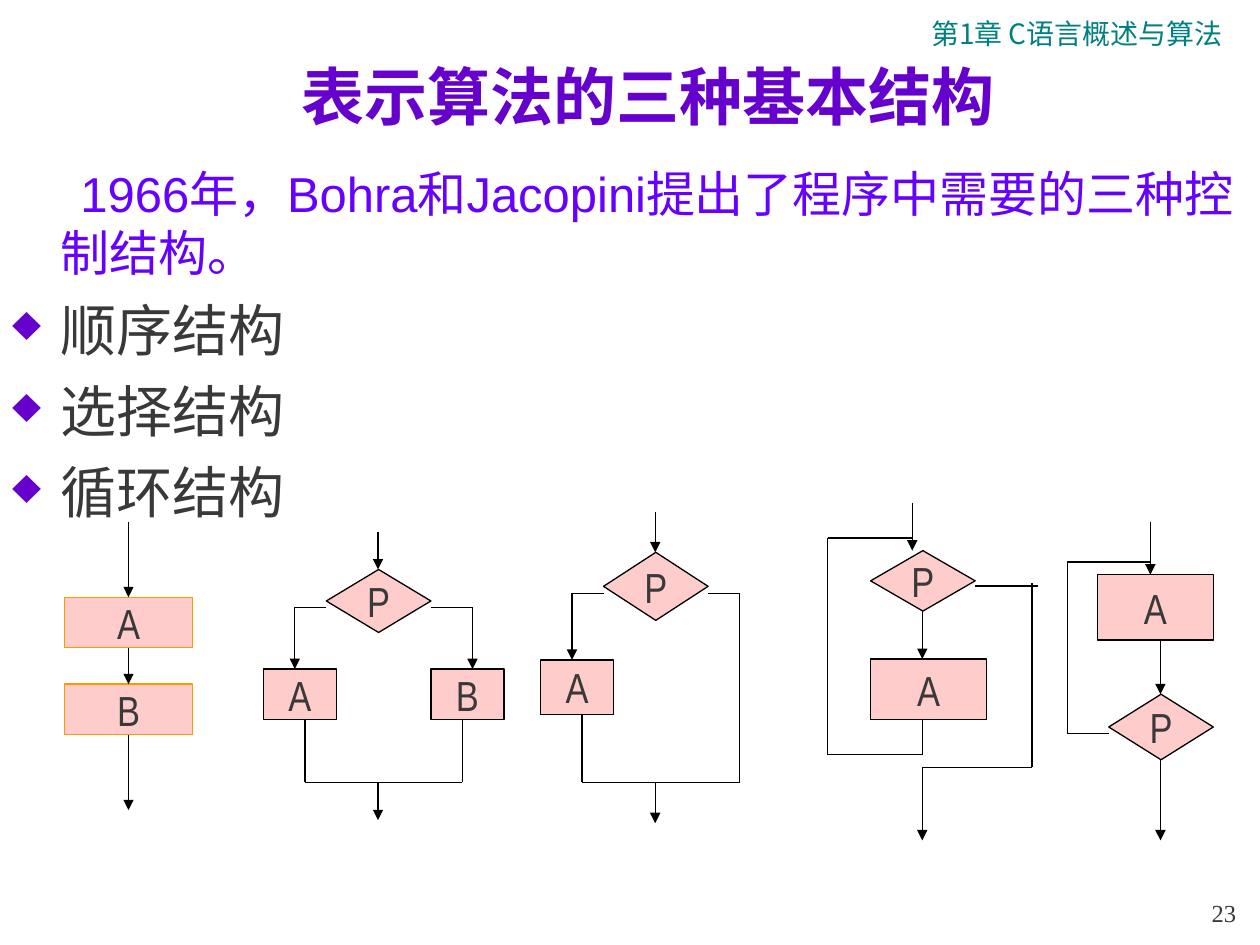
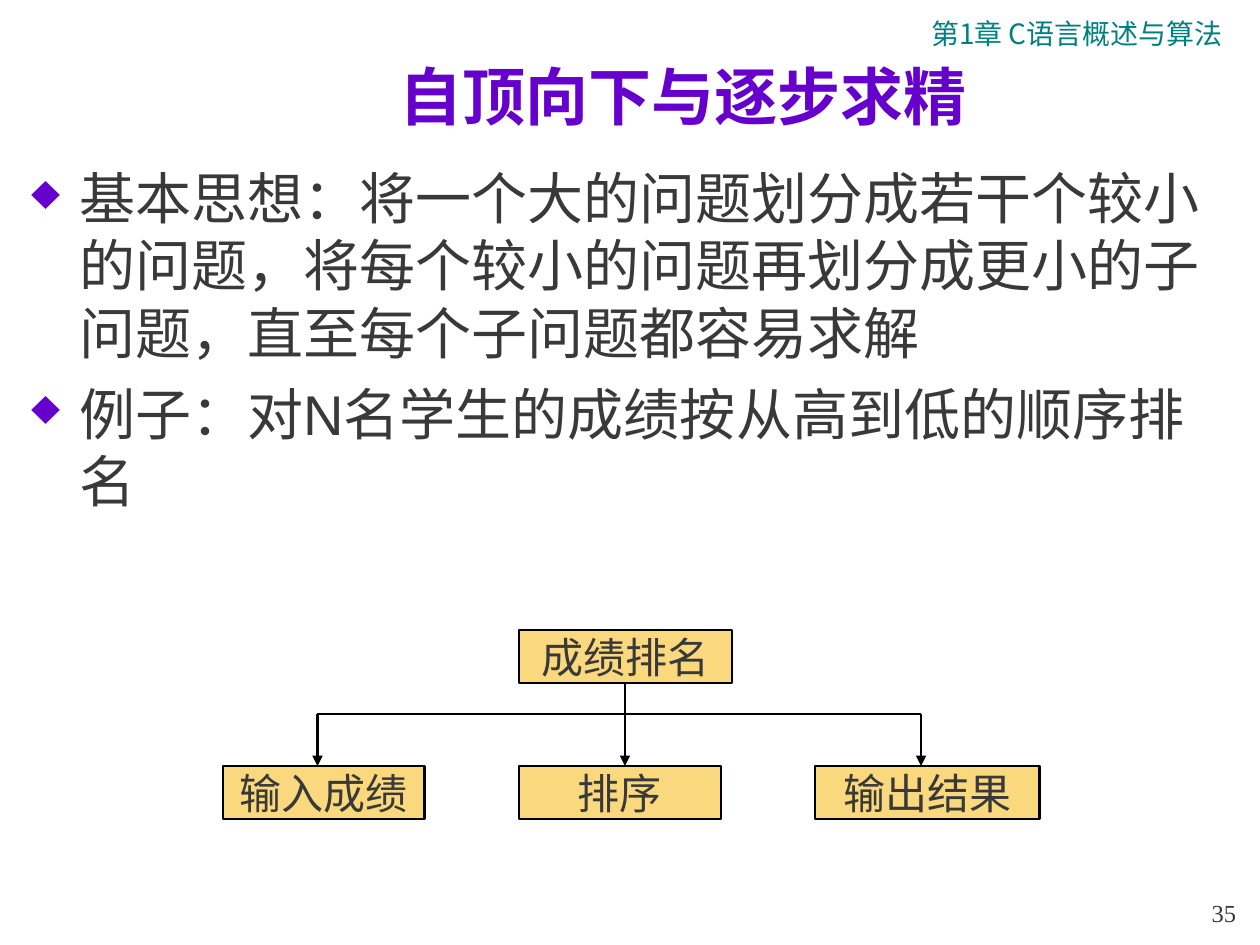
from dataclasses import dataclass

from lxml.etree import SubElement
from pptx import Presentation
from pptx.dml.color import RGBColor
from pptx.enum.shapes import MSO_CONNECTOR as Connector, MSO_SHAPE as Shape
from pptx.enum.text import MSO_ANCHOR as Anchor, PP_ALIGN as Align
from pptx.oxml.ns import qn
from pptx.slide import Slide
from pptx.util import Inches, Pt

COLORS = {
    "title": "6600CC",
    "lead": "6600FF",
    "text": "393939",
    "header": "008080",
    "pink": "FFCCCC",
    "yellow": "F9D87E",
    "orange": "FF9900",
    "line": "000000",
}
CJK_FONT = "Noto Sans CJK JP"
HEADER = "第1章 C语言概述与算法"
HANGING = 0.38


def color(name):
    return RGBColor.from_string(COLORS[name])


def write(frame, text, size=24, font="Arial", ink="text", bold=False, align=Align.LEFT,
          before=0, margin=0, indent=0, bullet=None):
    paragraph = frame.paragraphs[-1]
    if paragraph.runs:
        paragraph = frame.add_paragraph()
    paragraph.alignment = align
    paragraph.space_before = Pt(before)
    properties = paragraph._p.get_or_add_pPr()
    properties.set("marL", str(Inches(margin)))
    properties.set("indent", str(Inches(indent)))
    if bullet:
        bullet_color = SubElement(properties, qn("a:buClr"))
        SubElement(bullet_color, qn("a:srgbClr"), val=COLORS["title"])
        SubElement(properties, qn("a:buSzPct"), val="90000")
        SubElement(properties, qn("a:buChar"), char=bullet)
    run = paragraph.add_run()
    run.text = text
    run.font.size = Pt(size)
    run.font.bold = bold
    run.font.name = font
    run.font.color.rgb = color(ink)
    run_properties = run._r.get_or_add_rPr()
    run_properties.set("lang", "zh-CN")
    SubElement(run_properties, qn("a:ea"), typeface=CJK_FONT)


def add_frame(slide, left, top, width, height, anchor=Anchor.TOP):
    box = slide.shapes.add_textbox(Inches(left), Inches(top), Inches(width), Inches(height))
    frame = box.text_frame
    frame.word_wrap = True
    frame.vertical_anchor = anchor
    return frame


@dataclass
class Diagram:
    slide: Slide
    left: float
    top: float
    fill: str = "pink"
    outline: str = "line"
    weight: float = 0.75
    stretch: float = 1

    def place(self, x, y):
        return Inches(self.left + x), Inches(self.top + y * self.stretch)

    def node(self, text, x, y, width, height, kind=Shape.RECTANGLE):
        shape = self.slide.shapes.add_shape(
            kind, *self.place(x, y), Inches(width), Inches(height * self.stretch))
        shape.shadow.inherit = False
        shape.fill.solid()
        shape.fill.fore_color.rgb = color(self.fill)
        shape.line.color.rgb = color(self.outline)
        shape.line.width = Pt(self.weight)
        frame = shape.text_frame
        frame.word_wrap = False
        frame.vertical_anchor = Anchor.MIDDLE
        write(frame, text, font="Arial Narrow", align=Align.CENTER)

    def decision(self, x, y, height):
        self.node("P", x, y, 0.83, height, Shape.FLOWCHART_DECISION)

    def route(self, *points, arrow=False):
        for start, end in zip(points, points[1:]):
            connector = self.slide.shapes.add_connector(
                Connector.STRAIGHT, *self.place(*start), *self.place(*end))
            connector.line.color.rgb = color("line")
            connector.line.width = Pt(self.weight)
            if arrow and end == points[-1]:
                SubElement(connector.line._get_or_add_ln(), qn("a:tailEnd"), type="triangle")
            SubElement(connector._element.spPr, qn("a:effectLst"))

    def arrow(self, *points):
        self.route(*points, arrow=True)


def draw_sequence(diagram):
    middle, width, height = 0.51, 1.02, 0.4
    diagram.node("A", 0, 0.6, width, height)
    diagram.node("B", 0, 1.29, width, height)
    for start, end in ((0, 0.6), (1, 1.29), (1.69, 2.29)):
        diagram.arrow((middle, start), (middle, end))


def draw_selection(diagram, two_branches):
    middle, branch, box_top, box_bottom, join = 0.91, 0.6, 1.09, 1.49, 1.99
    diagram.arrow((middle, 0), (middle, 0.3))
    diagram.decision(0.5, 0.3, 0.5)
    diagram.arrow((0.5, branch), (0.25, branch), (0.25, box_top))
    diagram.node("A", 0, box_top, 0.58, 0.4)
    if two_branches:
        diagram.arrow((1.33, branch), (1.66, branch), (1.66, box_top))
        diagram.node("B", 1.33, box_top, 0.58, 0.4)
        right = [(1.58, box_bottom)]
    else:
        right = [(1.33, branch), (1.58, branch)]
    diagram.route((0.33, box_bottom), (0.33, join), (1.58, join), *reversed(right))
    diagram.arrow((middle, join), (middle, 2.29))


def draw_while_loop(diagram):
    entry, middle, right = 0.67, 0.75, 1.62
    diagram.arrow((entry, 0), (entry, 0.38))
    diagram.decision(0.34, 0.38, 0.48)
    diagram.arrow((middle, 0.86), (middle, 1.24))
    diagram.node("A", 0.34, 1.24, 0.92, 0.48)
    diagram.route((middle, 1.72), (middle, 2), (0, 2), (0, 0.28), (entry, 0.28))
    diagram.route((1.17, 0.66), (1.67, 0.66))
    diagram.arrow((right, 0.64), (right, 2.1), (middle, 2.1), (middle, 2.68))


def draw_until_loop(diagram):
    entry, middle = 0.66, 0.74
    diagram.arrow((entry, 0), (entry, 0.42))
    diagram.node("A", 0.24, 0.42, 0.92, 0.52)
    diagram.arrow((middle, 0.95), (middle, 1.37))
    diagram.decision(0.33, 1.37, 0.52)
    diagram.route((0.33, 1.68), (0, 1.68), (0, 0.32), (entry, 0.32))
    diagram.arrow((middle, 1.89), (middle, 2.53))


def draw_decomposition(diagram):
    root, bar, child_top, height = 3.19, 0.67, 1.08, 0.42
    diagram.node("成绩排名", 2.35, 0, 1.69, height)
    steps = (("输入成绩", 1.6, 0.75), ("排序", 1.6, root), ("输出结果", 1.78, 5.54))
    for index, (label, width, arrow_x) in enumerate(steps):
        diagram.node(label, index * 2.35, child_top, width, height)
        diagram.arrow((arrow_x, bar), (arrow_x, child_top))
    diagram.route((0.75, bar), (5.54, bar))
    diagram.route((root, height), (root, bar))


def add_base_slide(presentation, title, title_margin, number):
    slide = presentation.slides.add_slide(presentation.slide_layouts[6])
    write(add_frame(slide, 7.17, 0.08, 2.75, 0.37), HEADER, size=16, font=CJK_FONT,
          ink="header", align=Align.CENTER)
    write(add_frame(slide, 0.17, 0.42, 9.67, 0.67, Anchor.MIDDLE), title, size=36,
          ink="title", bold=True, align=Align.CENTER, margin=title_margin)
    write(add_frame(slide, 9.33, 7.08, 0.58, 0.33, Anchor.BOTTOM), str(number), size=14,
          font="Times New Roman", align=Align.RIGHT)
    return slide


def add_body(slide, left, width, bullets, lead=None):
    frame = add_frame(slide, left, 1.25, width, 5.67)
    if lead:
        write(frame, lead, size=28, ink="lead", before=7, margin=HANGING, indent=0.16)
    for text in bullets:
        write(frame, text, size=32, before=8, margin=HANGING, indent=-HANGING, bullet="♦")


def add_structures_slide(presentation):
    slide = add_base_slide(presentation, "表示算法的三种基本结构", 0.28, 23)
    add_body(slide, 0, 10, ("顺序结构", "选择结构", "循环结构"),
             lead="1966年，Bohra和Jacopini提出了程序中需要的三种控制结构。")
    draw_selection(Diagram(slide, 2.09, 4.22), two_branches=True)
    draw_selection(Diagram(slide, 4.29, 4.06, stretch=1.08), two_branches=False)
    draw_sequence(Diagram(slide, 0.51, 4.14, outline="orange"))
    draw_while_loop(Diagram(slide, 6.57, 3.99))
    draw_until_loop(Diagram(slide, 8.47, 4.14))


def add_refinement_slide(presentation):
    slide = add_base_slide(presentation, "自顶向下与逐步求精", 0.83, 35)
    add_body(slide, 0.15, 9.67, (
        "基本思想：将一个大的问题划分成若干个较小的问题，"
        "将每个较小的问题再划分成更小的子问题，直至每个子问题都容易求解",
        "例子：对N名学生的成绩按从高到低的顺序排名",
    ))
    draw_decomposition(Diagram(slide, 1.77, 5, fill="yellow", weight=1.25))


def main():
    presentation = Presentation()
    presentation.slide_width = Inches(10)
    presentation.slide_height = Inches(7.5)
    add_structures_slide(presentation)
    add_refinement_slide(presentation)
    presentation.save("out.pptx")


if __name__ == "__main__":
    main()
